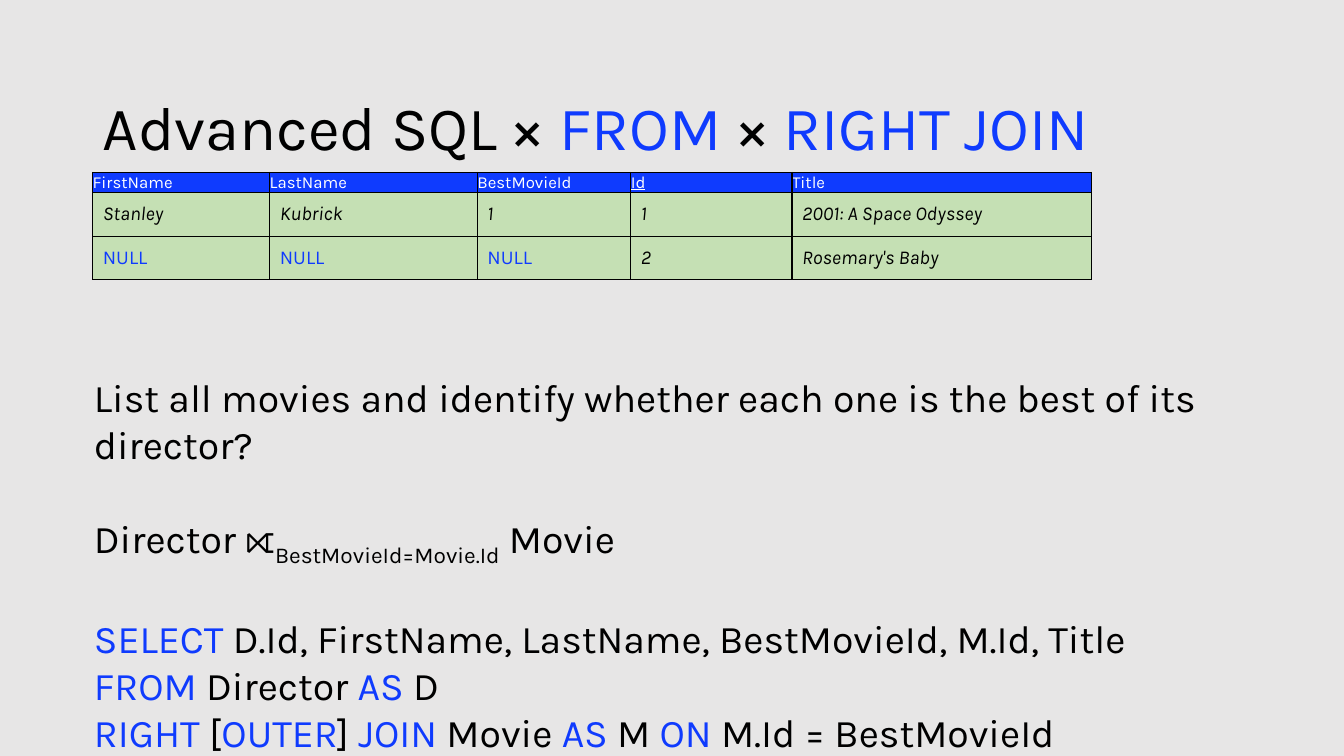
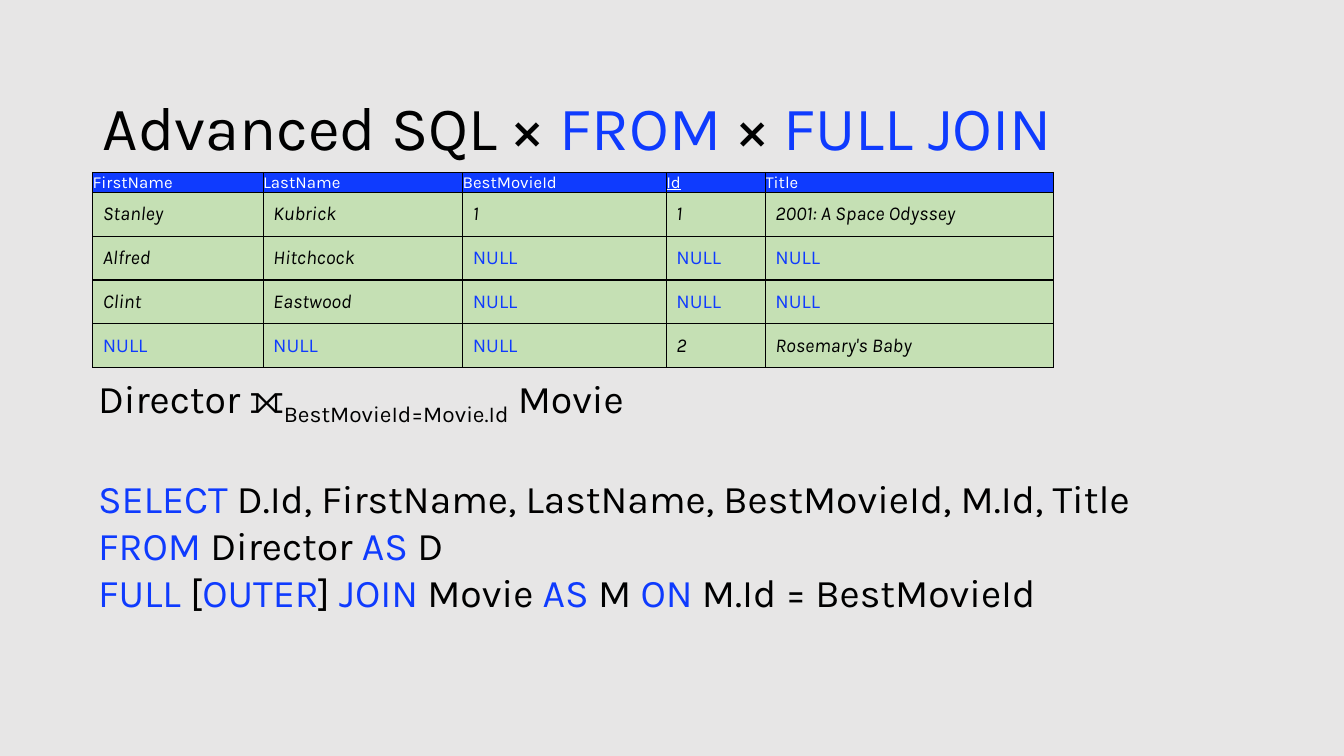
from dataclasses import dataclass
from typing import Any, NamedTuple, Optional

from lxml import etree
from pptx import Presentation
from pptx import util as u
from pptx.dml.color import RGBColor
from pptx.enum import text as t
from pptx.oxml import ns

BLUE = RGBColor(0x0F, 0x3B, 0xFE)
GREEN = RGBColor(0xC5, 0xE0, 0xB4)
GREY = RGBColor(0xE7, 0xE6, 0xE6)
BLACK = RGBColor(0, 0, 0)
WHITE = RGBColor(255, 255, 255)

WIDE, HIGH = u.Inches(13.33), u.Inches(7.5)
GAP = u.Pt(33.6)
MARK = "|"  # sets off the pieces of a line that take the second format

Format = dict[str, Any]
PLAIN: Format = {"name": "Karla", "color": BLACK}
TITLE: Format = PLAIN | {"size": u.Pt(44)}
BODY: Format = PLAIN | {"size": u.Pt(28)}
HEAD: Format = PLAIN | {"size": u.Pt(12), "color": WHITE}
KEY: Format = HEAD | {"underline": True}
VALUE: Format = PLAIN | {"size": u.Pt(14), "italic": True}
NULL: Format = VALUE | {"color": BLUE, "italic": False}
WORD: Format = {"color": BLUE}
SUB: Format = {"baseline": -25000}

FIELDS = ["FirstName", "LastName", "BestMovieId", "Id", "Title"]

# Shares of the slide, in percent
LEFT = 6.9
TITLE_TOP, TITLE_ROW = 11.73, 11.07
TITLE_COLS = [77.04, 9.23]
GRID_TOP = TITLE_TOP + TITLE_ROW
HEAD_ROW, ROW = 2.67, 5.78


class Box(NamedTuple):
    """Left, top, width and height in percent of the slide."""
    left: float
    top: float
    width: float
    height: float


@dataclass
class Line:
    text: str
    marked: Format
    gap: bool = False


@dataclass
class Page:
    join: str
    sign: str
    cols: list[float]
    rows: list[list[str]]
    box: Box
    ask: str = ""

    def lines(self) -> list[Line]:
        ask = [Line(self.ask, WORD)] if self.ask else []
        return ask + [
            Line(f"Director {self.sign}|BestMovieId=Movie.Id| Movie", SUB, bool(ask)),
            Line("|SELECT |D.Id, FirstName, LastName, BestMovieId, M.Id, Title",
                 WORD, True),
            Line("|FROM| Director |AS| D", WORD),
            Line(f"|{self.join} |[|OUTER|]| JOIN |Movie |AS| M |ON "
                 "|M.Id = BestMovieId", WORD),
        ]


PAGES = [
    Page("RIGHT", "⟖", [13.17, 15.45, 11.42, 12, 22.27],
         [["Stanley", "Kubrick", "1", "1", "2001: A Space Odyssey"],
          ["NULL", "NULL", "NULL", "2", "Rosemary's Baby"]],
         Box(6.25, 48.67, 87.5, 51.6),
         "List all movies and identify whether each one is the best of its director?"),
    Page("FULL", "⟗", [12.68, 14.85, 15.15, 7.37, 21.45],
         [["Stanley", "Kubrick", "1", "1", "2001: A Space Odyssey"],
          ["Alfred", "Hitchcock", "NULL", "NULL", "NULL"],
          ["Clint", "Eastwood", "NULL", "NULL", "NULL"],
          ["NULL", "NULL", "NULL", "2", "Rosemary's Baby"]],
         Box(6.56, 48.8, 81.25, 32.8)),
]


def across(share: float) -> int:
    return round(WIDE * share / 100)


def down(share: float) -> int:
    return round(HIGH * share / 100)


def place(box: Box) -> tuple[int, int, int, int]:
    return across(box.left), down(box.top), across(box.width), down(box.height)


def style(run, form: Format) -> None:
    for name, value in form.items():
        if name == "color":
            run.font.color.rgb = value
        elif name == "baseline":
            run._r.get_or_add_rPr().set(name, str(value))
        else:
            setattr(run.font, name, value)


def write(para, text: str, form: Format, marked: Format) -> None:
    """Write a line whose every second piece takes the marked format too."""
    for i, piece in enumerate(text.split(MARK)):
        if piece:
            run = para.add_run()
            run.text = piece
            style(run, form | marked if i % 2 else form)


def edge(cell, color: Optional[RGBColor]) -> None:
    """Give all four sides of a cell a thin border, or none without a colour."""
    props = cell._tc.get_or_add_tcPr()
    for side in ("lnL", "lnR", "lnT", "lnB"):
        line = etree.SubElement(props, ns.qn(f"a:{side}"), w=str(u.Pt(1)))
        if color is None:
            etree.SubElement(line, ns.qn("a:noFill"))
        else:
            fill = etree.SubElement(line, ns.qn("a:solidFill"))
            etree.SubElement(fill, ns.qn("a:srgbClr"), val=str(color))


def add_table(slide, top: float, cols: list[float], rows: list[float]):
    """Add a table without style bands, sized by its columns and rows."""
    box = Box(LEFT, top, sum(cols), sum(rows))
    grid = slide.shapes.add_table(len(rows), len(cols), *place(box)).table
    grid.first_row = grid.horz_banding = False
    for col, share in zip(grid.columns, cols):
        col.width = across(share)
    for row, share in zip(grid.rows, rows):
        row.height = down(share)
    return grid


def add_title(slide, join: str) -> None:
    grid = add_table(slide, TITLE_TOP, TITLE_COLS, [TITLE_ROW])
    for cell in grid.iter_cells():
        edge(cell, None)
        cell.fill.background()
    write(grid.cell(0, 0).text_frame.paragraphs[0],
          f"Advanced SQL × |FROM| × |{join} JOIN", TITLE, WORD)


def fill_cell(cell, text: str, form: Format, back: RGBColor) -> None:
    edge(cell, BLACK)
    cell.fill.solid()
    cell.fill.fore_color.rgb = back
    cell.vertical_anchor = t.MSO_ANCHOR.MIDDLE
    # the key's name is underlined, the space after it is not
    write(cell.text_frame.paragraphs[0], text, form, {"underline": False})


def add_grid(slide, page: Page) -> None:
    grid = add_table(slide, GRID_TOP, page.cols,
                     [HEAD_ROW] + [ROW] * len(page.rows))
    for i, field in enumerate(FIELDS):
        cell = grid.cell(0, i)
        for side in ("left", "right", "top", "bottom"):
            setattr(cell, f"margin_{side}", 0)
        if field == "Id":
            fill_cell(cell, field + MARK + " ", KEY, BLUE)
        else:
            fill_cell(cell, field, HEAD, BLUE)
    for r, row in enumerate(page.rows, 1):
        for c, text in enumerate(row):
            form = NULL if text == "NULL" else VALUE
            fill_cell(grid.cell(r, c), text, form, GREEN)


def add_body(slide, page: Page) -> None:
    frame = slide.shapes.add_textbox(*place(page.box)).text_frame
    frame.word_wrap = True
    frame.auto_size = t.MSO_AUTO_SIZE.SHAPE_TO_FIT_TEXT
    for i, line in enumerate(page.lines()):
        para = frame.add_paragraph() if i else frame.paragraphs[0]
        if line.gap:
            para.space_before = GAP
        write(para, line.text, BODY, line.marked)


def main() -> None:
    deck = Presentation()
    deck.slide_width, deck.slide_height = WIDE, HIGH
    back = deck.slide_master.background.fill
    back.solid()
    back.fore_color.rgb = GREY
    for page in PAGES:
        slide = deck.slides.add_slide(deck.slide_layouts.get_by_name("Blank"))
        add_title(slide, page.join)
        add_grid(slide, page)
        add_body(slide, page)
    deck.save("out.pptx")


if __name__ == "__main__":
    main()
